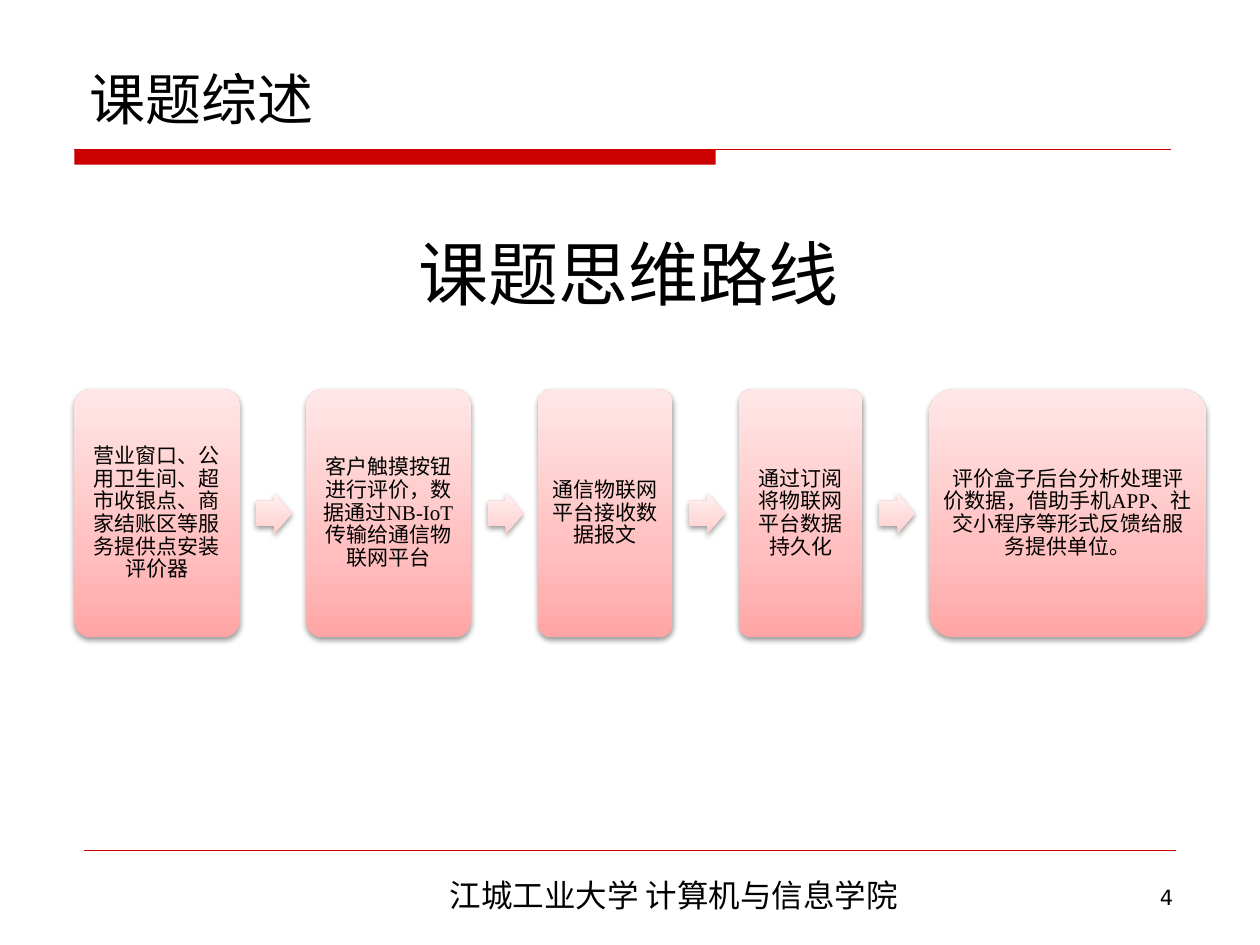
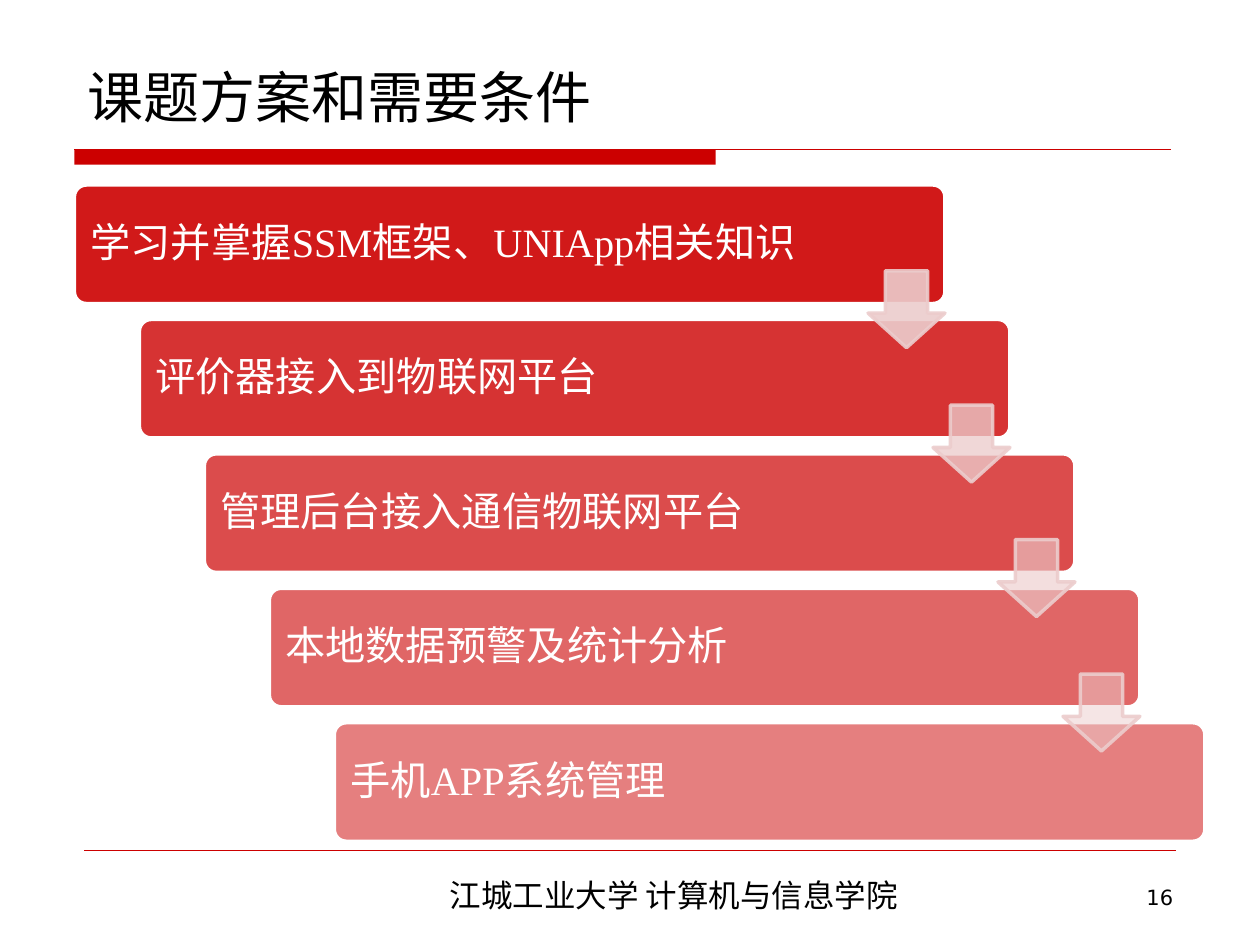
"""Build two slides on a customer feedback project: its workflow and its plan."""
from lxml.etree import SubElement
from pptx import Presentation
from pptx.dml.color import RGBColor
from pptx.enum.shapes import MSO_CONNECTOR as Connector, MSO_SHAPE as Preset
from pptx.enum.text import MSO_ANCHOR as Anchor, MSO_AUTO_SIZE as AutoSize, PP_ALIGN as Align
from pptx.oxml.ns import qn
from pptx.util import Cm, Pt

RED = RGBColor(0xCC, 0x00, 0x00)
BLACK = RGBColor(0x00, 0x00, 0x00)
WHITE = RGBColor(0xFF, 0xFF, 0xFF)
ARROW_PINK = RGBColor(0xEC, 0xCC, 0xCC)
BOX_FADE = [RGBColor(0xFF, tone, tone) for tone in (0xA5, 0xBF, 0xE7)]
ARROW_FADE = [RGBColor(0xFF, tone, tone) for tone in (0xCD, 0xDA, 0xF1)]
FADE_STOPS = (0, 35000, 100000)

SERIF = "Times New Roman"
SANS = "DejaVu Sans"
CHINESE = "Noto Sans CJK SC"
FOOTER = "江城工业大学 计算机与信息学院"
LEFT = 1.5

FLOW = [
    ("营业窗口、公用卫生间、超市收银点、商家结账区等服务提供点安装评价器", 3.33),
    ("客户触摸按钮进行评价，数据通过NB-IoT传输给通信物联网平台", 3.33),
    ("通信物联网平台接收数据报文", 2.72),
    ("通过订阅将物联网平台数据持久化", 2.49),
    ("评价盒子后台分析处理评价数据，借助手机APP、社交小程序等形式反馈给服务提供单位。", 5.59),
]
STEPS = [
    "学习并掌握SSM框架、UNIApp相关知识",
    "评价器接入到物联网平台",
    "管理后台接入通信物联网平台",
    "本地数据预警及统计分析",
    "手机APP系统管理",
]


def write(frame, text, size, font, color=BLACK, align=Align.LEFT):
    """Fill a text frame with one formatted paragraph."""
    frame.text = text
    para = frame.paragraphs[0]
    para.alignment = align
    span = para.runs[0]
    span.font.size = Pt(size)
    span.font.name = font
    span.font.color.rgb = color
    SubElement(span.font._element, qn("a:ea"), typeface=CHINESE)
    return para


def add_label(page, place, text, size, font, align, wrap=True):
    """Add a text box at a place given in centimetres."""
    box = page.shapes.add_textbox(*map(Cm, place))
    box.text_frame.word_wrap = wrap
    write(box.text_frame, text, size, font, align=align)


def add_line(page, left, right, top, weight):
    """Draw a horizontal red line without a shadow."""
    line = page.shapes.add_connector(
        Connector.STRAIGHT, Cm(left), Cm(top), Cm(right), Cm(top))
    line.line.color.rgb = RED
    line.line.width = Pt(weight)
    SubElement(line._element.spPr, qn("a:effectLst"))


def add_preset(page, preset, place, adjustments):
    """Add a flat preset shape at a place given in centimetres."""
    shape = page.shapes.add_shape(preset, *map(Cm, place))
    for index, value in enumerate(adjustments):
        shape.adjustments[index] = value
    shape.shadow.inherit = False
    return shape


def paint(shape, color, opacity, line_color, line_opacity=100):
    """Give a shape a translucent fill and a two-point outline."""
    shape.fill.solid()
    shape.fill.fore_color.rgb = color
    shape.line.color.rgb = line_color
    shape.line.width = Pt(2)
    properties = shape._element.spPr
    for parent, percent in ((properties, opacity), (properties.ln, line_opacity)):
        tone = parent.find(qn("a:solidFill")).find(qn("a:srgbClr"))
        SubElement(tone, qn("a:alpha"), val=str(round(percent * 1000)))


def paint_fade(shape, colors):
    """Give a shape an upward three-colour fade and a soft shadow."""
    shape.line.fill.background()
    shape.fill.gradient()
    properties = shape._element.spPr
    fade = properties.find(qn("a:gradFill"))
    for child in list(fade):
        fade.remove(child)
    stops = SubElement(fade, qn("a:gsLst"))
    for position, color in zip(FADE_STOPS, colors):
        stop = SubElement(stops, qn("a:gs"), pos=str(position))
        SubElement(stop, qn("a:srgbClr"), val=str(color))
    SubElement(fade, qn("a:lin"), ang="16200000", scaled="1")
    shadow = SubElement(
        properties.find(qn("a:effectLst")), qn("a:outerShdw"),
        blurRad="40000", dist="20000", dir="5400000", rotWithShape="0")
    tone = SubElement(shadow, qn("a:srgbClr"), val=str(BLACK))
    SubElement(tone, qn("a:alpha"), val="38000")


def write_inside(shape, text, size, color, align, inset, right_inset):
    """Write middle-anchored text inside a shape."""
    frame = shape.text_frame
    frame.word_wrap = True
    frame.vertical_anchor = Anchor.MIDDLE
    frame.margin_left = frame.margin_top = frame.margin_bottom = Cm(inset)
    frame.margin_right = Cm(right_inset)
    write(frame, text, size, SERIF, color, align).line_spacing = 0.9


def add_page(deck, title, title_left, title_top, number):
    """Add a slide with its title, red band and footer."""
    page = deck.slides.add_slide(deck.slide_layouts[5])
    band = add_preset(page, Preset.RECTANGLE, (LEFT, 3.02, 12.93, 0.3), ())
    band.fill.solid()
    band.fill.fore_color.rgb = RED
    band.line.fill.background()
    add_line(page, LEFT, 23.6, 3.02, 0.75)
    add_line(page, 1.7, 23.7, 17.14, 0.25)
    add_label(page, (5.89, 17.53, 15.39, 1.02), FOOTER, 18, CHINESE, Align.CENTER)
    add_label(page, (20.09, 17.7, 3.81, 0.74), str(number), 12, SANS, Align.RIGHT)

    heading = page.shapes.title
    heading.left, heading.top = Cm(title_left), Cm(title_top)
    heading.width, heading.height = Cm(22.22), Cm(2.08)
    heading.text_frame.auto_size = AutoSize.NONE
    heading.text_frame.vertical_anchor = Anchor.BOTTOM
    write(heading.text_frame, title, 32, SANS)
    return page


def add_flow(page):
    """Lay out the workflow boxes in a row joined by arrows."""
    gap, left = 1.34, LEFT
    for index, (text, width) in enumerate(FLOW):
        if index:
            arrow = add_preset(
                page, Preset.RIGHT_ARROW, (left - gap + 0.34, 9.93, 0.71, 0.84), (0.6, 0.5))
            paint_fade(arrow, ARROW_FADE)
        box = add_preset(page, Preset.ROUNDED_RECTANGLE, (left, 7.85, width, 5), (0.1,))
        paint_fade(box, BOX_FADE)
        write_inside(box, text, 12, BLACK, Align.CENTER, 0.13, 0.13)
        left += width + gap


def add_staircase(page):
    """Lay out the plan as descending steps with arrows between them."""
    across, down = 1.31, 2.71
    for index, text in enumerate(STEPS):
        place = (LEFT + index * across, 3.73 + index * down, 17.55, 2.39)
        step = add_preset(page, Preset.ROUNDED_RECTANGLE, place, (0.1,))
        paint(step, RED, 90 - 10 * index, WHITE)
        write_inside(step, text, 23, WHITE, Align.LEFT, 0.25, 2.9)
    for index in range(len(STEPS) - 1):
        place = (17.5 + index * across, 5.46 + index * down, 1.55, 1.55)
        arrow = add_preset(page, Preset.DOWN_ARROW, place, (0.55, 0.45))
        paint(arrow, ARROW_PINK, 90 - 40 * index / 3, ARROW_PINK, 90)


def main():
    """Build and save the deck."""
    deck = Presentation()
    deck.slide_width, deck.slide_height = Cm(25.4), Cm(19.05)

    overview = add_page(deck, "课题综述", 1.55, 0.71, 4)
    add_flow(overview)
    add_label(overview, (8.13, 4.52, 9.07, 1.96), "课题思维路线", 40, CHINESE,
              Align.CENTER, wrap=False)

    plan = add_page(deck, "课题方案和需要条件", 1.5, 0.66, 16)
    add_staircase(plan)

    deck.save("out.pptx")


if __name__ == "__main__":
    main()
